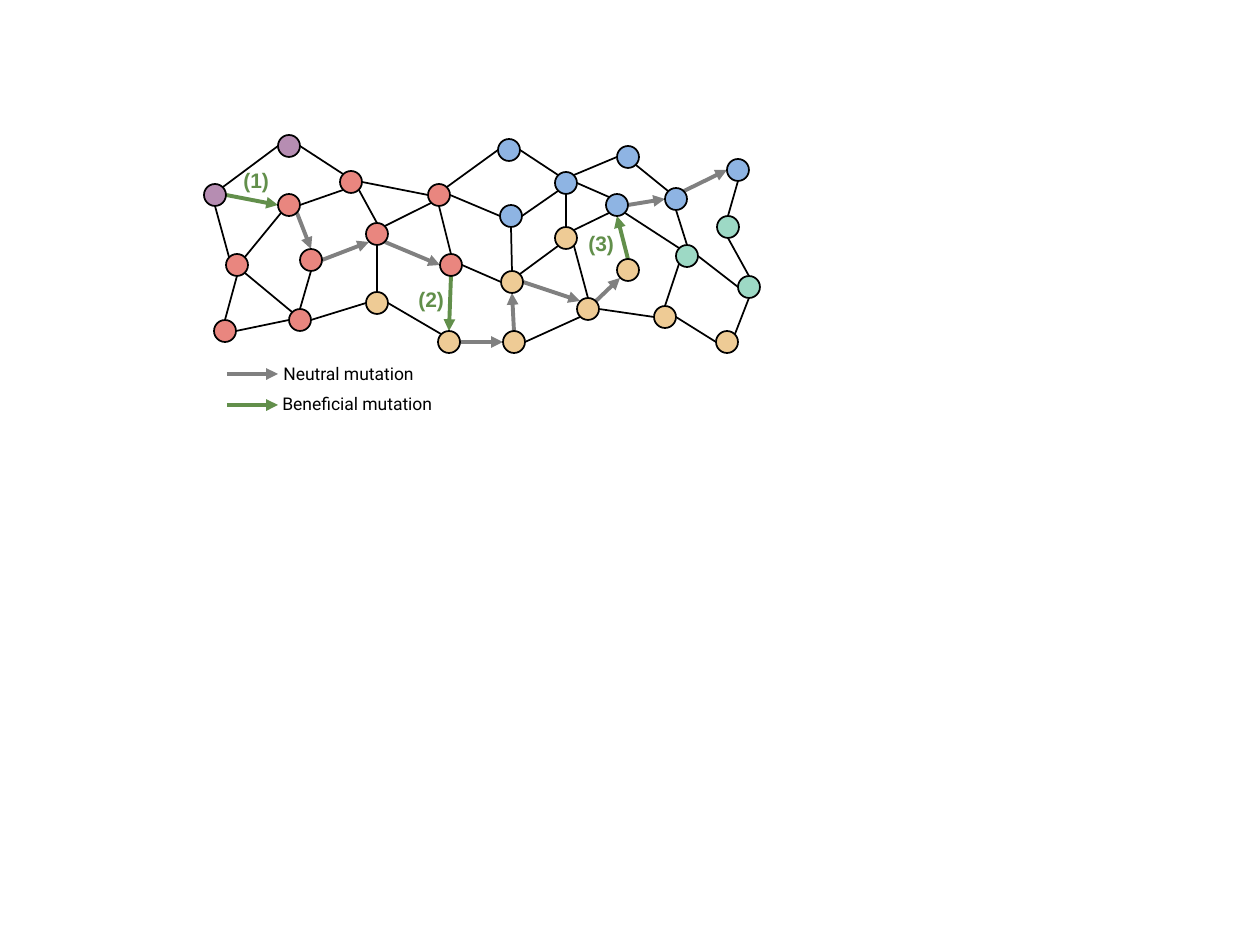
from dataclasses import dataclass

from lxml.etree import SubElement
from pptx import Presentation
from pptx.dml.color import RGBColor as RGB
from pptx.enum.shapes import MSO_CONNECTOR as CXN, MSO_SHAPE as SHAPE
from pptx.enum.text import MSO_AUTO_SIZE as FIT
from pptx.oxml.ns import qn
from pptx.util import Emu, Pt

PX = 914400 / 126
RADIUS, DIAGONAL = 11, 8


@dataclass(frozen=True)
class Theme:
    ink: str = "000000"
    neutral: str = "808080"
    beneficial: str = "628F4B"
    purple: str = "B68DB2"
    red: str = "E9867F"
    tan: str = "EECB95"
    blue: str = "8EB4E3"
    green: str = "9DD9C5"
    thin: float = 1
    thick: float = 2.25
    step_size: int = 12
    legend_size: int = 10
    step_font: str = "Arial"
    legend_font: str = "Roboto"


THEME = Theme()

NODES = {
    "purple": [(215, 195), (289, 146)],
    "red": [(289, 205), (351, 182), (237, 265), (311, 260), (225, 331),
            (300, 320), (377, 234), (439, 195), (451, 265)],
    "tan": [(377, 303), (449, 342), (514, 342), (512, 282), (566, 238),
            (588, 309), (628, 270), (665, 317), (727, 342)],
    "blue": [(509, 150), (511, 216), (566, 183), (617, 205), (628, 157),
             (676, 199), (738, 170)],
    "green": [(728, 227), (687, 256), (749, 287)],
}
CENTRES = {f"{color[0]}{i}": centre
           for color, centres in NODES.items()
           for i, centre in enumerate(centres, 1)}
SITES = {
    "n": (0, -RADIUS), "e": (RADIUS, 0), "s": (0, RADIUS), "w": (-RADIUS, 0),
    "ne": (DIAGONAL, -DIAGONAL), "se": (DIAGONAL, DIAGONAL),
    "sw": (-DIAGONAL, DIAGONAL), "nw": (-DIAGONAL, -DIAGONAL),
}

EDGES = {
    "ink": """
        p1.ne-p2.w r2.nw-p2.e r1.e-r2.sw p1.s-r3.nw r5.n-r3.s r5.e-r6.w
        r6.e-t1.w t1.e-t2.nw r3.ne-r1.sw r3.se-r6.nw r6.n-r4.s r7.n-r2.se
        t1.n-r7.s r7.ne-r8.sw r9.n-r8.s r2.e-r8.w r8.ne-b1.w r8.e-b2.w
        t4.w-r9.e b1.e-b3.nw b2.e-b3.sw b2.s-t4.n b3.s-t5.n t5.sw-t4.ne
        t3.e-t6.sw b3.e-b4.nw b4.sw-t5.ne b5.w-b3.ne b4.se-g2.nw g2.sw-t8.n
        g1.n-b7.s g1.s-g3.n g3.s-t9.ne t8.e-t9.w t6.e-t8.w g2.e-g3.w
        b6.s-g2.n b5.se-b6.nw t6.n-t5.se""",
    "neutral": """
        r1.se-r4.n r4.e-r7.sw r7.se-r9.w t2.e-t3.w t3.n-t4.s t4.e-t6.nw
        t6.ne-t7.sw b4.e-b6.w b6.ne-b7.w""",
    "beneficial": "p1.e-r1.w r9.s-t2.n t7.n-b4.s",
}
STEPS = [("(1)", 231, 161), ("(2)", 406, 280), ("(3)", 576, 224)]
LEGEND = [("neutral", "Neutral mutation", 374, (271, 357, 159, 34)),
          ("beneficial", "Beneficial mutation", 405, (270, 387, 176, 34))]


def px(*values):
    return [Emu(round(v * PX)) for v in values]


def apply(obj, formats):
    for name, value in formats.items():
        setattr(obj, name, value)


def site_point(end):
    node, site = end.split(".")
    return [c + d for c, d in zip(CENTRES[node], SITES[site])]


class Canvas:
    def __init__(self, slide, theme):
        self.s, self.theme = slide, theme

    def color(self, name):
        return RGB.from_string(getattr(self.theme, name))

    def line(self, start, end, kind):
        cx = self.s.shapes.add_connector(CXN.STRAIGHT, *px(*start, *end))
        arrow = kind != "ink"
        cx.line.color.rgb = self.color(kind)
        cx.line.width = Pt(self.theme.thick if arrow else self.theme.thin)
        if arrow:
            SubElement(cx.line._get_or_add_ln(), qn("a:tailEnd"), type="triangle")
        SubElement(cx._element.spPr, qn("a:effectLst"))

    def node(self, centre, color):
        x, y = centre
        sp = self.s.shapes.add_shape(
            SHAPE.OVAL, *px(x - RADIUS, y - RADIUS, 2 * RADIUS, 2 * RADIUS))
        sp.shadow.inherit = False
        sp.fill.solid()
        sp.fill.fore_color.rgb = self.color(color)
        sp.line.color.rgb = self.color("ink")
        sp.line.width = Pt(self.theme.thin)

    def text(self, text, box, color, formats):
        tf = self.s.shapes.add_textbox(*px(*box)).text_frame
        apply(tf, {"word_wrap": False, "auto_size": FIT.SHAPE_TO_FIT_TEXT})
        r = tf.paragraphs[0].add_run()
        r.text = text
        apply(r.font, formats)
        r.font.color.rgb = self.color(color)


def main():
    prs = Presentation()
    apply(prs, dict(zip(("slide_width", "slide_height"), px(1260, 945))))
    canvas = Canvas(prs.slides.add_slide(prs.slide_layouts[6]), THEME)

    for kind, edges in EDGES.items():
        for edge in edges.split():
            start, end = edge.split("-")
            canvas.line(site_point(start), site_point(end), kind)
    for color, centres in NODES.items():
        for centre in centres:
            canvas.node(centre, color)

    step = {"size": Pt(THEME.step_size), "name": THEME.step_font, "bold": True}
    for text, x, y in STEPS:
        canvas.text(text, (x, y, 52, 38), "beneficial", step)
    legend = {"size": Pt(THEME.legend_size), "name": THEME.legend_font}
    for kind, text, y, box in LEGEND:
        canvas.line((227, y), (278, y), kind)
        canvas.text(text, box, "ink", legend)

    prs.save("out.pptx")


if __name__ == "__main__":
    main()
